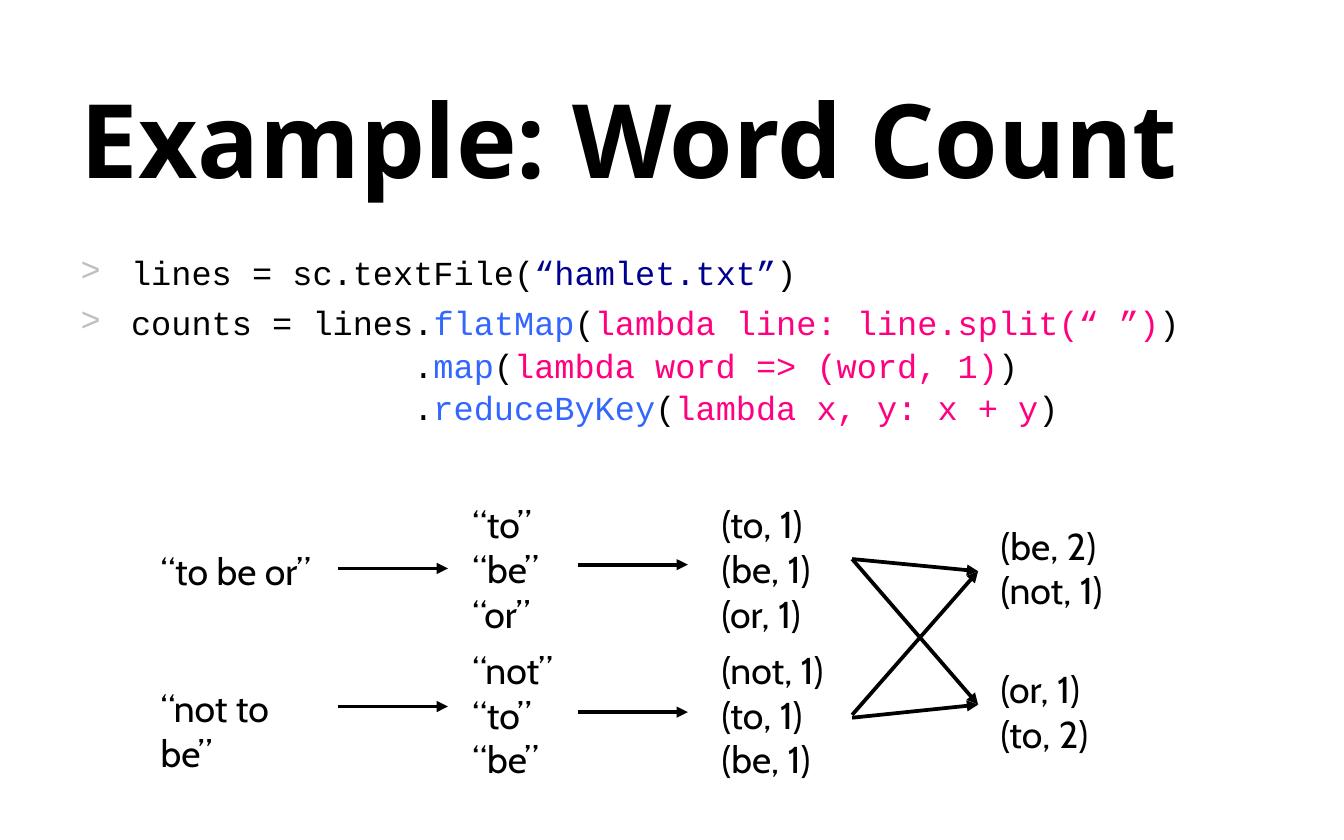
from lxml import etree
from pptx import Presentation, util as u
from pptx.dml import color
from pptx.enum import shapes, text
from pptx.oxml import ns

COLORS = {
    "black": "000000",
    "bullet": "BFBFBF",
    "string": "000090",
    "method": "3366FF",
    "function": "FF0080",
}
CODE_SIZE = 18
CODE_MARGIN = 27
CODE_STEP = CODE_SIZE * 0.6

CODE = [
    (0, [("lines = sc.textFile(", "black"), ("“hamlet.txt”", "string"), (")", "black")]),
    (0, [("counts = lines.", "black"), ("flatMap", "method"), ("(", "black"),
         ("lambda line: line.split(“ ”)", "function"), (")", "black")]),
    (14, [(".", "black"), ("map", "method"), ("(", "black"),
          ("lambda word => (word, 1)", "function"), (")", "black")]),
    (14, [(".", "black"), ("reduceByKey", "method"), ("(", "black"),
          ("lambda x, y: x + y", "function"), (")", "black")]),
]

STAGES = [
    (0, 25, ["“to be or”"]),
    (0, 98.5, ["“not to be”"]),
    (167, 0, ["“to”", "“be”", "“or”"]),
    (167, 78, ["“not”", "“to”", "“be”"]),
    (300.5, 0, ["(to, 1)", "(be, 1)", "(or, 1)"]),
    (300.5, 78, ["(not, 1)", "(to, 1)", "(be, 1)"]),
    (450, 11.5, ["(be, 2)", "(not, 1)"]),
    (450, 88.5, ["(or, 1)", "(to, 2)"]),
]

ARROWS = [
    (102, 39.5, 161, 39.5),
    (102, 113.5, 161, 113.5),
    (230.5, 37.5, 289.5, 37.5),
    (230.5, 116.5, 289.5, 116.5),
    (377.5, 34.5, 445, 112.5),
    (377.5, 34.5, 445, 41),
    (377.5, 118, 445, 41),
    (377.5, 119.5, 445, 112.5),
]


def place(shape, box):
    shape.left, shape.top, shape.width, shape.height = (u.Pt(value) for value in box)


def add_span(para, words, font, size, shade="black", bold=False):
    span = para.add_run()
    span.text = words
    span.font.name = font
    span.font.size = u.Pt(size)
    span.font.bold = bold
    span.font.color.rgb = color.RGBColor.from_string(COLORS[shade])


def set_bullet(para, indent):
    props = para._p.get_or_add_pPr()
    margin = CODE_MARGIN + indent * CODE_STEP
    props.set("marL", str(int(u.Pt(margin))))
    if indent:
        props.set("indent", "0")
        etree.SubElement(props, ns.qn("a:buNone"))
        return
    props.set("indent", str(-int(u.Pt(CODE_MARGIN))))
    tint = etree.SubElement(props, ns.qn("a:buClr"))
    etree.SubElement(tint, ns.qn("a:srgbClr"), val=COLORS["bullet"])
    etree.SubElement(props, ns.qn("a:buFont"), typeface="Courier New")
    etree.SubElement(props, ns.qn("a:buChar"), char=">")


def fill_title(title, box):
    place(title, box)
    frame = title.text_frame
    frame.auto_size = text.MSO_AUTO_SIZE.NONE
    frame.vertical_anchor = text.MSO_ANCHOR.MIDDLE
    para = frame.paragraphs[0]
    para.alignment = text.PP_ALIGN.LEFT
    add_span(para, "Example: Word Count", "Open Sans", 55, bold=True)


def fill_code(body, box):
    place(body, box)
    frame = body.text_frame
    frame.auto_size = text.MSO_AUTO_SIZE.NONE
    for number, (indent, spans) in enumerate(CODE):
        para = frame.add_paragraph() if number else frame.paragraphs[0]
        para.line_spacing = 1.05
        para.space_before = u.Pt(0 if indent else 4)
        set_bullet(para, indent)
        for words, shade in spans:
            add_span(para, words, "Courier New", CODE_SIZE, shade)


def add_stage(page, box, lines):
    frame = page.shapes.add_textbox(*(u.Pt(value) for value in box)).text_frame
    frame.word_wrap = False
    for number, words in enumerate(lines):
        para = frame.add_paragraph() if number else frame.paragraphs[0]
        add_span(para, words, "Cabin", 20)


def add_arrow(page, ends):
    arrow = page.shapes.add_connector(
        shapes.MSO_CONNECTOR.STRAIGHT, *(u.Pt(value) for value in ends))
    arrow.line.width = u.Pt(2)
    arrow.line.color.rgb = color.RGBColor.from_string(COLORS["black"])
    etree.SubElement(arrow.line._get_or_add_ln(), ns.qn("a:tailEnd"), type="triangle")
    etree.SubElement(arrow._element.spPr, ns.qn("a:effectLst"))


def draw_flow(page, box):
    left, top = box[:2]
    for x, y, lines in STAGES:
        add_stage(page, (left + x, top + y, 100, 7.2 + 24.2 * len(lines)), lines)
    for x1, y1, x2, y2 in ARROWS:
        add_arrow(page, (left + x1, top + y1, left + x2, top + y2))


def main():
    deck = Presentation()
    deck.slide_width, deck.slide_height = u.Pt(720), u.Pt(450)
    page = deck.slides.add_slide(deck.slide_layouts[1])
    fill_title(page.shapes.title, (36, 36, 648, 75))
    fill_code(page.placeholders[1], (36, 130.5, 648, 170))
    draw_flow(page, (79, 265, 525, 158))
    deck.save("out.pptx")


if __name__ == "__main__":
    main()
